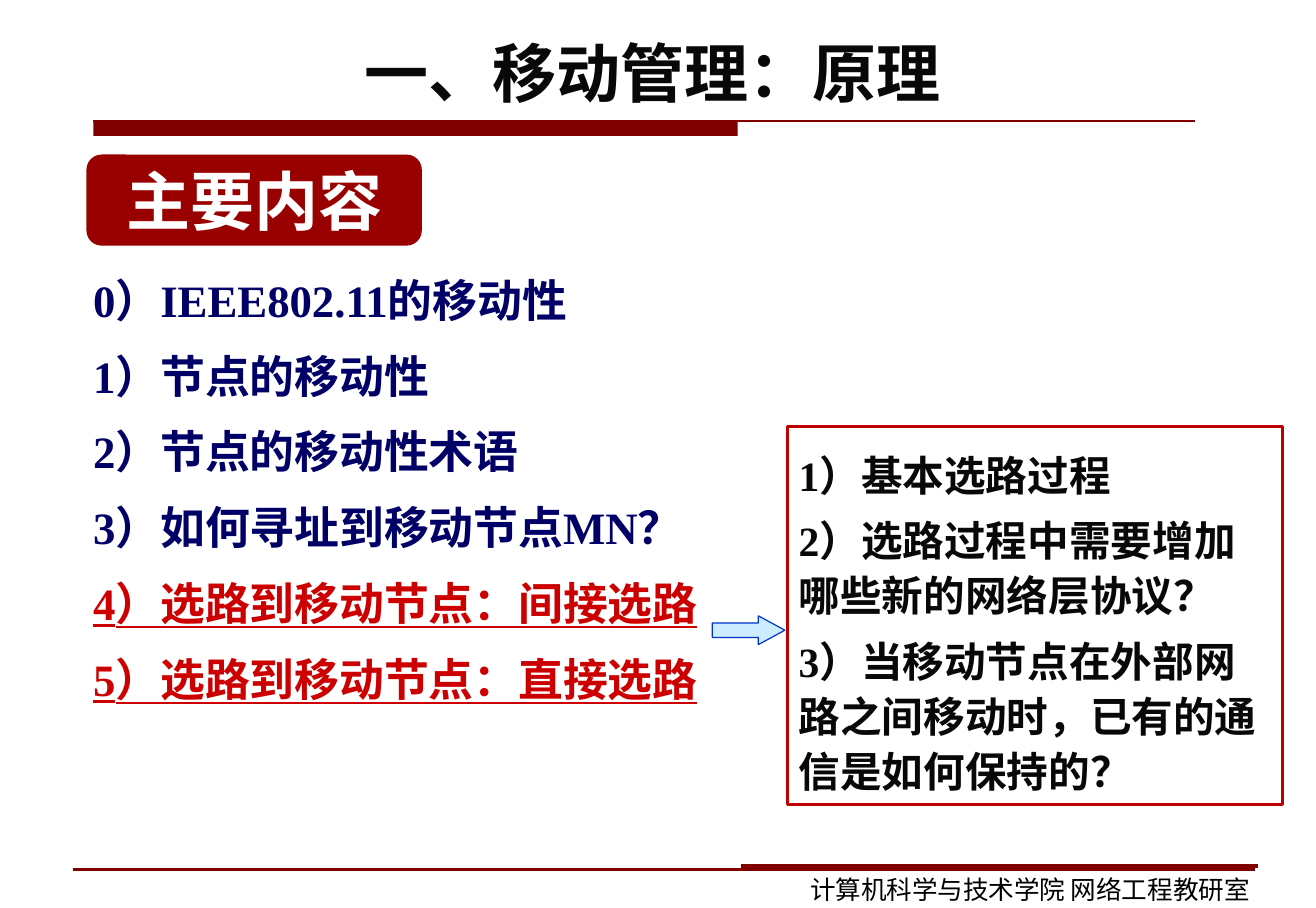
import pptx
import pptx.util
import pptx.oxml.ns
import pptx.dml.color
import pptx.enum.shapes
import pptx.enum.text
from lxml import etree

Inches = pptx.util.Inches
Pt = pptx.util.Pt
RGBColor = pptx.dml.color.RGBColor
MSO_SHAPE = pptx.enum.shapes.MSO_SHAPE
MSO_ANCHOR = pptx.enum.text.MSO_ANCHOR
MSO_AUTO_SIZE = pptx.enum.text.MSO_AUTO_SIZE
PP_ALIGN = pptx.enum.text.PP_ALIGN

MAROON = RGBColor(0x80, 0x00, 0x00)
BANNER_RED = RGBColor(0x99, 0x00, 0x00)
TOPIC_RED = RGBColor(0xCC, 0x00, 0x00)
FRAME_RED = RGBColor(0xC0, 0x00, 0x00)
NAVY = RGBColor(0x00, 0x00, 0x66)
INK = RGBColor(0x08, 0x08, 0x08)
BLACK = RGBColor(0x00, 0x00, 0x00)
WHITE = RGBColor(0xFF, 0xFF, 0xFF)
PALE_BLUE = RGBColor(0xCC, 0xEC, 0xFF)
BLUE = RGBColor(0x00, 0x33, 0xCC)

# The page is 29 by 20 centimetres
deck = pptx.Presentation()
deck.slide_width = Inches(29 / 2.54)
deck.slide_height = Inches(20 / 2.54)
page = deck.slides.add_slide(deck.slide_layouts[5])


def write(frame, lines, size, color, font="Times New Roman", bold=True, spacing=None, gap=0):
    """Fill a text frame with one formatted paragraph per line."""
    for index, line in enumerate(lines):
        para = frame.add_paragraph() if index else frame.paragraphs[0]
        para.text = line
        para.line_spacing = spacing
        para.space_before = Pt(gap if index else 0)
        for span in para.runs:
            span.font.name = font
            span.font.size = Pt(size)
            span.font.bold = bold
            span.font.color.rgb = color


def add_preset(kind, left, top, width, height, fill=None, line=None, weight=0.75):
    """Add a preset shape; a missing fill or line is left clear."""
    shape = page.shapes.add_shape(kind, Inches(left), Inches(top), Inches(width), Inches(height))
    shape.shadow.inherit = False
    if fill is None:
        shape.fill.background()
    else:
        shape.fill.solid()
        shape.fill.fore_color.rgb = fill
    if line is None:
        shape.line.fill.background()
    else:
        shape.line.color.rgb = line
        shape.line.width = Pt(weight)
    return shape


# Title
title = page.shapes.title
title.left, title.top = Inches(0.61), Inches(0.07)
title.width, title.height = Inches(10.1), Inches(1.11)
title.text_frame.auto_size = MSO_AUTO_SIZE.NONE
title.text_frame.vertical_anchor = MSO_ANCHOR.MIDDLE
write(title.text_frame, ["一、移动管理：原理"], 40, INK)
title.text_frame.paragraphs[0].alignment = PP_ALIGN.CENTER

# Bar under the title, then the thin rules of title and footer
add_preset(MSO_SHAPE.RECTANGLE, 0.81, 1.05, 5.59, 0.13, MAROON)
for left, right, y, weight in [(0.81, 10.37, 1.05, 0.75), (0.63, 10.89, 7.54, 1.5), (6.43, 10.91, 7.51, 2.25)]:
    rule = page.shapes.add_connector(
        pptx.enum.shapes.MSO_CONNECTOR.STRAIGHT, Inches(left), Inches(y), Inches(right), Inches(y))
    rule.line.color.rgb = MAROON
    rule.line.width = Pt(weight)
    etree.SubElement(rule._element.spPr, pptx.oxml.ns.qn("a:effectLst"))

# Section banner
banner = add_preset(MSO_SHAPE.ROUNDED_RECTANGLE, 0.75, 1.34, 2.91, 0.79, BANNER_RED)
banner.text_frame.word_wrap = False
banner.text_frame.vertical_anchor = MSO_ANCHOR.MIDDLE
write(banner.text_frame, ["主要内容"], 40, WHITE, font="Arial")
banner.text_frame.paragraphs[0].alignment = PP_ALIGN.CENTER

# Topic list, with the current topics in underlined red
topics = page.shapes.add_textbox(Inches(0.71), Inches(2.22), Inches(5.72), Inches(3.95))
topics.text_frame.word_wrap = True
write(topics.text_frame, [
    "0）IEEE802.11的移动性",
    "1）节点的移动性",
    "2）节点的移动性术语",
    "3）如何寻址到移动节点MN？",
    "4）选路到移动节点：间接选路",
    "5）选路到移动节点：直接选路",
], 28, NAVY, spacing=1.2, gap=7)
for para in topics.text_frame.paragraphs[4:]:
    for span in para.runs:
        span.font.color.rgb = TOPIC_RED
        span.font.underline = True

# Questions about routing, framed and pointed to by an arrow
questions = page.shapes.add_textbox(Inches(6.83), Inches(3.81), Inches(4.22), Inches(3.14))
questions.text_frame.word_wrap = True
write(questions.text_frame, [
    "1）基本选路过程",
    "2）选路过程中需要增加哪些新的网络层协议？",
    "3）当移动节点在外部网路之间移动时，已有的通信是如何保持的？",
], 26, INK, spacing=1.1, gap=6.5)
arrow = add_preset(MSO_SHAPE.RIGHT_ARROW, 6.18, 5.34, 0.63, 0.25, PALE_BLUE, BLUE)
arrow.adjustments[1] = 0.92
add_preset(MSO_SHAPE.RECTANGLE, 6.83, 3.7, 4.3, 3.28, line=FRAME_RED, weight=1.75)

# Footer
footer = page.shapes.add_textbox(Inches(6.93), Inches(7.53), Inches(4.2), Inches(0.37))
footer.text_frame.word_wrap = True
write(footer.text_frame, ["计算机科学与技术学院 网络工程教研室"], 16, BLACK, font="Arial", bold=False)

deck.save("out.pptx")
